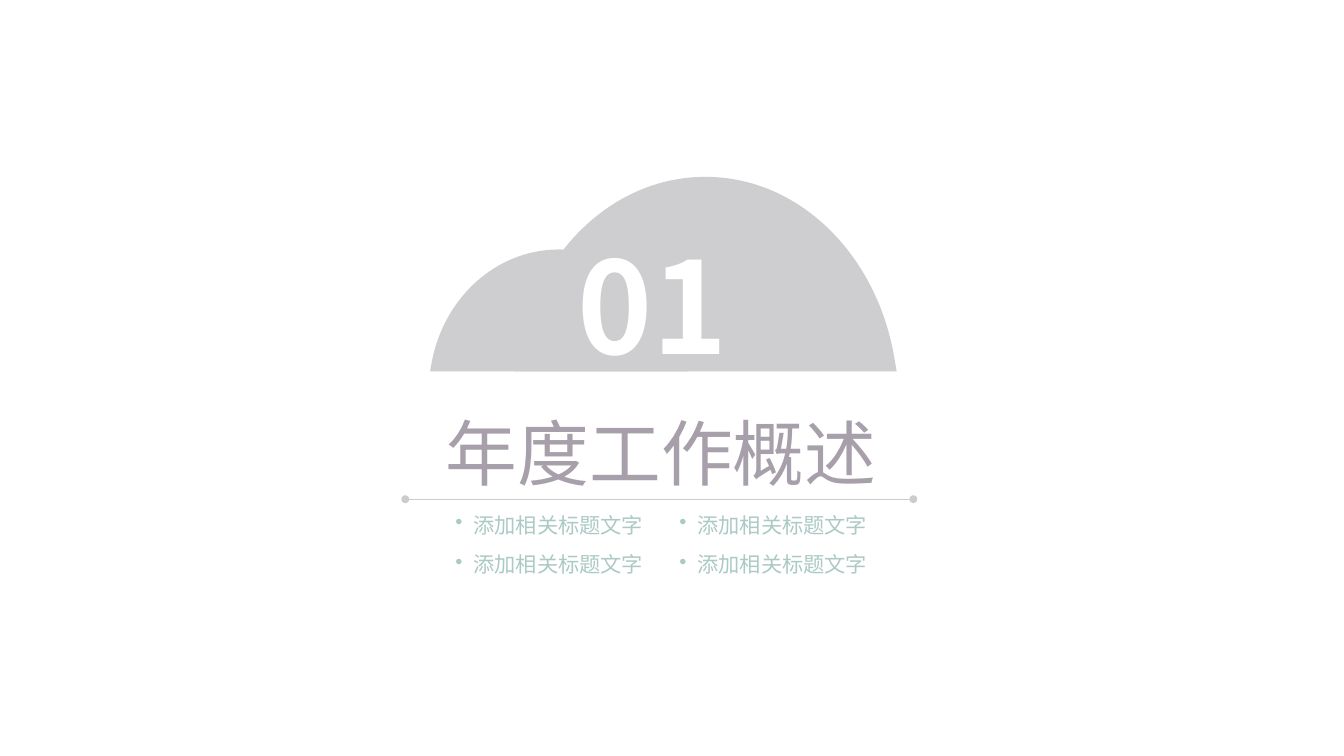
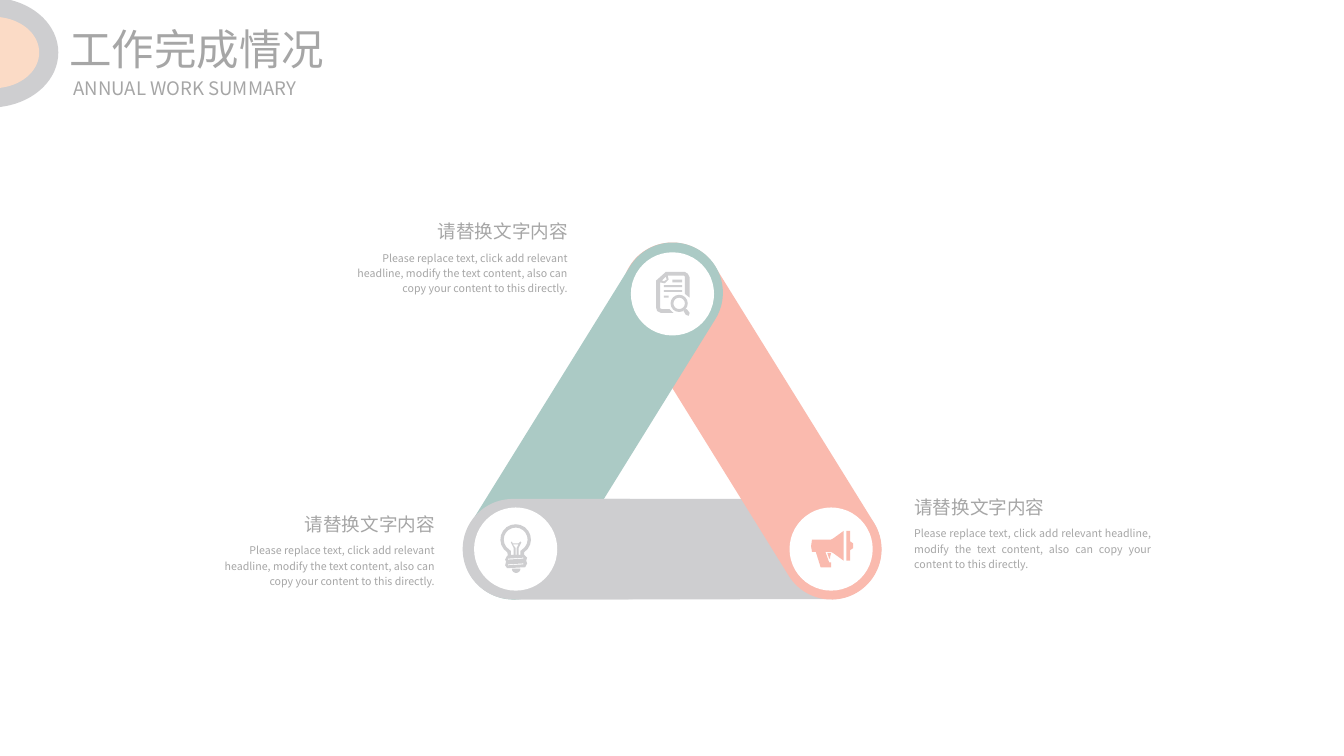
from math import cos, radians, sin

from lxml import etree
from pptx import Presentation
from pptx.dml.color import RGBColor
from pptx.enum.shapes import MSO_CONNECTOR, MSO_SHAPE
from pptx.enum.text import MSO_ANCHOR, MSO_AUTO_SIZE, PP_ALIGN
from pptx.oxml.ns import qn
from pptx.util import Inches, Pt

COLUMNS, ROWS = 140.6, 79.1  # square grid cells
CELL = Inches(0.1)
LEFT, CENTER, RIGHT, JUSTIFY = (
    PP_ALIGN.LEFT, PP_ALIGN.CENTER, PP_ALIGN.RIGHT, PP_ALIGN.JUSTIFY)
TOP, MIDDLE = MSO_ANCHOR.TOP, MSO_ANCHOR.MIDDLE
GROW = MSO_AUTO_SIZE.SHAPE_TO_FIT_TEXT
PILL, OVAL, STRAIGHT = (
    MSO_SHAPE.ROUNDED_RECTANGLE, MSO_SHAPE.OVAL, MSO_CONNECTOR.STRAIGHT)

FONT = "Noto Sans CJK SC"
WHITE, SILVER, RULE, TEXT = "FFFFFF", "CECED0", "CCCCCC", "A6A6A6"
MAUVE, TEAL, CORAL, PEACH = "A79FAA", "ABCAC5", "FABAAE", "FBDBC6"
NO_MARGINS = dict.fromkeys(
    ("margin_left", "margin_right", "margin_top", "margin_bottom"), 0)
BAND = 10.5
DISC = 8.7
# Unit dome, -1 to 1 across and 0 to 1 high; curves start at these segments.
DOME = [(0, 1), (0.49, 1), (0.9, 0.6), (0.99, 0.06), (1, 0),
        (-1, 0), (-0.99, 0.06), (-0.9, 0.6), (-0.49, 1), (0, 1)]
DOME_CURVES = (0, 6)


def color(code):
    """Turn a hex string into a colour."""
    return RGBColor.from_string(code)


def cells(count):
    """Turn grid cells into a length."""
    return round(count * CELL)


def apply(target, values):
    """Set each named value as an attribute."""
    for name, value in values.items():
        setattr(target, name, value)


def box(left, top, right, bottom):
    """Give the corners of a rectangle."""
    return [(left, top), (right, top), (right, bottom), (left, bottom)]


def arc(x, y, radius, start=0, end=360, steps=16):
    """Give points along a circular arc, angles in degrees."""
    angles = [radians(start + (end - start) * i / steps)
              for i in range(steps + 1)]
    return [(x + radius * cos(a), y + radius * sin(a)) for a in angles]


def document_icon():
    """Give the outlines of a page with a magnifier."""
    sheet = [(-7, -23), (13, -23), (16, -21), (18, -17), (18, 4), (13, 0),
             (13, -18), (12, -19), (-5, -19), (-4, -15), (-8, -11),
             (-13, -12), (-13, 15), (-11, 16), (-3, 16), (1, 20), (-12, 20),
             (-16, 18), (-17, 15), (-17, -14), (-8, -22)]
    fold = [(-7, -18), (-11, -14), (-9, -13), (-6, -15)]
    text_lines = [box(-9, 2, -4, 4), box(-9, -4, 10, -2),
                  box(-9, -9, 10, -7), box(0, -15, 10, -12)]
    handle = [(11, 17), (15, 16), (18, 20), (17, 23), (14, 22)]
    return [sheet, fold, *text_lines, arc(7, 10, 9), arc(7, 10, 6), handle]


def bulb_icon():
    """Give the outlines of a light bulb."""
    glass = arc(0, -10, 16, 123, 417) + [
        (9, 6), (12, 9), (11, 12), (12, 15), (10, 19), (-9, 20),
        (-11, 17), (-10, 13), (-11, 11), (-9, 7), (-8, 7)]
    inside = arc(0, -10, 12.5, 123, 417) + [
        (5, 2), (5, 6), (3, 6), (3, -1), (6, -7), (5, -8), (3, -6),
        (-3, -6), (-4, -8), (-5, -7), (-2, -1), (-2, 6), (-5, 6), (-5, 2)]
    filament = [(3, -5), (-3, -5), (0, -1), (0, 6), (1, 6), (1, -1)]
    slots = [[(-8, y + 1), (8, y), (8, y + 1), (-8, y + 2)] for y in (9, 15)]
    return [glass, inside, filament, *slots, arc(0.5, 20.5, 4.5, 0, 180, 8)]


def megaphone_icon():
    """Give the outlines of a megaphone."""
    horn = [(-20, -10), (0, -10), (2, -11), (13, -19), (13, 12), (2, 4),
            (0, 3), (-6, 3), (-2, 14), (0, 14), (0, 19), (-11, 19),
            (-16, 3), (-20, 3), (-21, -3)]
    rim = [(20, -8), (23, -6), (23, -1), (20, 1), (20, 12), (16, 12),
           (16, -19), (20, -19)]
    grip = [(0, 4), (-4, 4), (-2, 10), (-1, 10), (-1, 8)]
    return [horn, rim, grip]


class Deck:
    """Holds the shared style and the current slide."""

    def __init__(self):
        """Start a deck with the grid's size."""
        self.file = Presentation()
        apply(self.file, {"slide_width": cells(COLUMNS),
                          "slide_height": cells(ROWS)})

    def new_slide(self):
        """Open a blank slide."""
        blank = self.file.slide_layouts[6]
        self.shapes = self.file.slides.add_slide(blank).shapes

    def paint(self, shape, fill):
        """Give a shape a flat fill with no outline or shadow."""
        shape.shadow.inherit = False
        shape.fill.solid()
        shape.fill.fore_color.rgb = color(fill)
        shape.line.fill.background()

    def centered(self, kind, x, y, width, height, fill):
        """Add a preset shape around a centre point."""
        shape = self.shapes.add_shape(
            kind, cells(x - width / 2), cells(y - height / 2),
            cells(width), cells(height))
        self.paint(shape, fill)
        return shape

    def band(self, x, y, length, fill, angle=0):
        """Add a fully rounded band."""
        shape = self.centered(PILL, x, y, length, BAND, fill)
        shape.adjustments[0] = 0.5
        shape.rotation = angle

    def outline(self, contours, fill, curves=()):
        """Add a filled shape; three segments from each curve start merge."""
        scaled = [[(cells(x), cells(y)) for x, y in c] for c in contours]
        builder = self.shapes.build_freeform(*scaled[0][0], scale=1.0)
        for contour in scaled:
            if contour is not scaled[0]:
                builder.move_to(*contour[0])
            builder.add_line_segments(contour[1:], close=True)
        shape = builder.convert_to_shape()
        segments = list(shape._element.iter(qn("a:lnTo")))
        for start in curves:
            curve = etree.Element(qn("a:cubicBezTo"))
            segments[start].addprevious(curve)
            for segment in segments[start:start + 3]:
                curve.append(segment[0])
                segment.getparent().remove(segment)
        self.paint(shape, fill)

    def hill(self, x, base, half, height, fill):
        """Add a dome standing on a base line."""
        self.outline([[(x + half * u, base - height * v) for u, v in DOME]],
                     fill, DOME_CURVES)

    def side_dome(self, y, half, depth, fill):
        """Add a dome growing from the slide's left edge."""
        self.outline([[(depth * v, y + half * u) for u, v in DOME]],
                     fill, DOME_CURVES)

    def badge(self, x, y, icon, fill):
        """Add a white disc with an icon drawn in tenths of a cell."""
        self.centered(OVAL, x, y, DISC, DISC, WHITE)
        self.outline([[(x + u / 10, y + v / 10) for u, v in contour]
                      for contour in icon], fill)

    def rule(self, left, right, y):
        """Add a thin line with round ends."""
        line = self.shapes.add_connector(
            STRAIGHT, cells(left), cells(y), cells(right), cells(y))
        line.line.color.rgb = color(RULE)
        line.line.width = Pt(1)
        properties = line._element.spPr
        for end in ("a:headEnd", "a:tailEnd"):
            etree.SubElement(properties.find(qn("a:ln")), qn(end), type="oval")
        etree.SubElement(properties, qn("a:effectLst"))

    def text(self, words, left, top, width, height, size, ink=TEXT,
             bold=False, paragraph=None, frame=None):
        """Add a text box and return its paragraph."""
        area = self.shapes.add_textbox(
            cells(left), cells(top), cells(width), cells(height)).text_frame
        apply(area, {"word_wrap": True, "auto_size": GROW,
                     "vertical_anchor": TOP, **(frame or {})})
        line = area.paragraphs[0]
        apply(line, {"alignment": LEFT, **(paragraph or {})})
        run = line.add_run()
        run.text = words
        apply(run.font, {"name": FONT, "size": Pt(size), "bold": bold})
        run.font.color.rgb = color(ink)
        etree.SubElement(run._r.get_or_add_rPr(), qn("a:ea"), typeface=FONT)
        return line

    def bullet(self, words, left, top):
        """Add a one-line bullet point."""
        line = self.text(words, left, top, 21.9, 3.7, 16, TEAL,
                         frame={"word_wrap": False})
        properties = line._p.get_or_add_pPr()
        indent = cells(1.9)
        properties.set("marL", str(indent))
        properties.set("indent", str(-indent))
        etree.SubElement(properties, qn("a:buChar"), char="•")

    def caption(self, left, top, width, alignment):
        """Add a heading with its description."""
        style = {"alignment": alignment, "line_spacing": 1.2}
        self.text("请替换文字内容", left, top, width, 3.7, 14, paragraph=style)
        self.text("Please replace text, click add relevant headline, modify "
                  "the text content, also can copy your content to this "
                  "directly.", left, top + 3.5, width, 5.8, 8,
                  paragraph=style)

    def header(self, title, subtitle):
        """Add the slide title and its corner mark."""
        frame = {"vertical_anchor": MIDDLE, **NO_MARGINS}
        self.text(title, 7.25, 2.4, 43.2, 5.4, 32, frame=frame)
        self.text(subtitle, 7.25, 8, 30.7, 2.4, 14, frame=frame)
        self.side_dome(5.5, 5.7, 6.1, SILVER)
        self.side_dome(5.5, 3.7, 4.1, PEACH)


def section_slide(deck):
    """Build the section opener."""
    deck.new_slide()
    deck.hill(73.8, 38.85, 20, 20.35, SILVER)
    deck.hill(58.5, 38.85, 13.5, 12.75, SILVER)
    deck.text("01", 48.1, 23.75, 40.3, 16.2, 96, WHITE, bold=True,
              paragraph={"alignment": CENTER}, frame=NO_MARGINS)
    deck.rule(42.4, 95.55, 52.23)
    deck.text("年度工作概述", 46.65, 42.75, 48.9, 9.1, 54, MAUVE,
              frame=NO_MARGINS)
    for row in range(2):
        for column in range(2):
            deck.bullet("添加相关标题文字", 46.65 + 23.45 * column,
                        53.1 + 4.1 * row)


def triangle_slide(deck):
    """Build the triangle of bands with three captions."""
    deck.new_slide()
    base = 57.45
    deck.band(70.4, base, 43.6, SILVER)
    deck.band(78.65, 44.05, 42.1, CORAL, 58.2)
    deck.band(62.05, 44.05, 42.1, TEAL, -58.2)
    deck.band(59.65, base, 22.5, SILVER)
    deck.badge(70.35, 30.75, document_icon(), SILVER)
    deck.badge(53.95, base, bulb_icon(), SILVER)
    deck.badge(86.95, base, megaphone_icon(), CORAL)
    deck.caption(94.65, 50.9, 26.8, JUSTIFY)
    deck.caption(34.5, 22.05, 25.9, RIGHT)
    deck.caption(20.6, 52.7, 25.9, RIGHT)
    deck.header("工作完成情况", " ANNUAL WORK SUMMARY")


def main():
    """Build both slides and save them."""
    deck = Deck()
    section_slide(deck)
    triangle_slide(deck)
    deck.file.save("out.pptx")


main()
